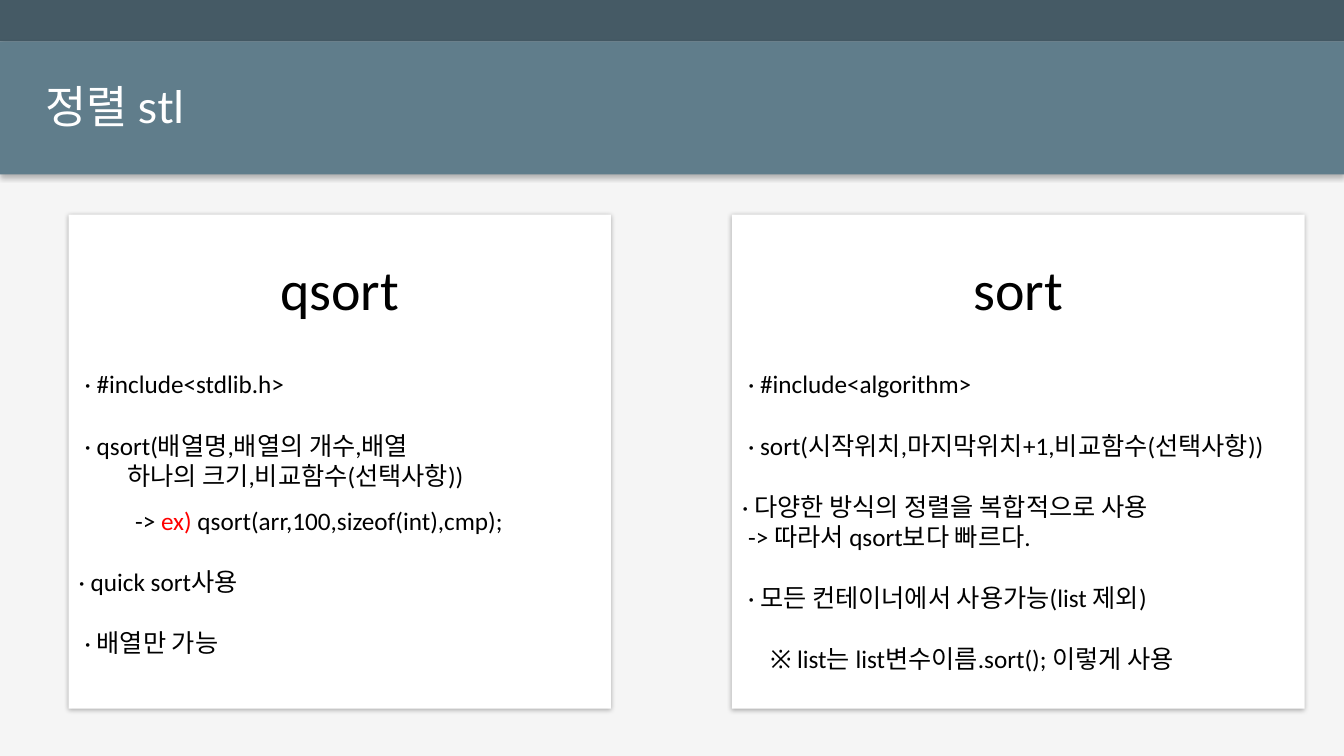
from lxml import etree
from pptx import Presentation
from pptx.dml.color import RGBColor
from pptx.enum.shapes import MSO_SHAPE
from pptx.enum.text import MSO_ANCHOR, MSO_AUTO_SIZE, PP_ALIGN
from pptx.oxml.ns import qn
from pptx.util import Inches, Pt

RECTANGLE = MSO_SHAPE.RECTANGLE
TOP, MIDDLE = MSO_ANCHOR.TOP, MSO_ANCHOR.MIDDLE
LEFT, CENTER = PP_ALIGN.LEFT, PP_ALIGN.CENTER
NO_AUTOFIT = MSO_AUTO_SIZE.NONE

BACKGROUND = RGBColor(0xF5, 0xF5, 0xF5)
DARK_SLATE = RGBColor(0x45, 0x5A, 0x65)
SLATE = RGBColor(0x60, 0x7D, 0x8B)
WHITE = RGBColor(0xFF, 0xFF, 0xFF)
BLACK = RGBColor(0, 0, 0)
RED = RGBColor(0xFF, 0, 0)

SLIDE_WIDTH, SLIDE_HEIGHT = 13.33, 7.5
TITLE = "정렬 stl"
BANDS = [(0, 0.41, DARK_SLATE), (0.41, 1.32, SLATE)]
CARD_TOP, CARD_HEIGHT = 2.13, 4.9
HEADING_INSET = 0.39
HEADING_GAP, ITEM_GAP = 34, 22

# Each line: first-line indent (inches), space before (points), line spacing, runs
CARDS = [
    (0.68, 5.38, "qsort", [
        (0.06, HEADING_GAP, 1, [("· #include<stdlib.h>", BLACK)]),
        (0.06, ITEM_GAP, 1, [("· qsort(배열명,배열의 개수,배열", BLACK)]),
        (0.48, 0, 1, [("하나의 크기,비교함수(선택사항))", BLACK)]),
        (0.56, 0, 1.5, [("-> ", BLACK), ("ex) ", RED),
                        ("qsort(arr,100,sizeof(int),cmp);", BLACK)]),
        (0, ITEM_GAP, 1, [("· quick sort사용", BLACK)]),
        (0.06, ITEM_GAP, 1, [("· 배열만 가능", BLACK)]),
    ]),
    (7.26, 5.68, "sort", [
        (0.06, HEADING_GAP, 1, [("· #include<algorithm>", BLACK)]),
        (0.06, ITEM_GAP, 1,
         [("· sort(시작위치,마지막위치+1,비교함수(선택사항))", BLACK)]),
        (0, ITEM_GAP, 1, [("· 다양한 방식의 정렬을 복합적으로 사용", BLACK)]),
        (0.06, 0, 1, [("-> 따라서 qsort보다 빠르다.", BLACK)]),
        (0.06, ITEM_GAP, 1, [("· 모든 컨테이너에서 사용가능(list 제외)", BLACK)]),
        (0.28, ITEM_GAP, 1,
         [("※ list는 list변수이름.sort(); 이렇게 사용", BLACK)]),
    ]),
]


def place(shape, left, top, width, height):
    """Move and size a shape, in inches."""
    shape.left, shape.top = Inches(left), Inches(top)
    shape.width, shape.height = Inches(width), Inches(height)


def paint(shape, color, blur, distance):
    """Give a shape a plain fill and a soft shadow below it."""
    shape.fill.solid()
    shape.fill.fore_color.rgb = color
    shape.line.fill.background()
    shape.shadow.inherit = False
    effects = shape.element.spPr.find(qn("a:effectLst"))
    shadow = etree.SubElement(effects, qn("a:outerShdw"), blurRad=str(Pt(blur)),
                              dist=str(Pt(distance)), dir="5400000", rotWithShape="0")
    shade = etree.SubElement(shadow, qn("a:srgbClr"), val="000000")
    etree.SubElement(shade, qn("a:alpha"), val="30000")


def add_run(paragraph, text, size, font, color):
    """Append one formatted run."""
    run = paragraph.add_run()
    run.text = text
    run.font.size = Pt(size)
    run.font.name = font
    run.font.color.rgb = color


def format_line(paragraph, alignment, indent, before, spacing):
    """Set the layout of a paragraph without a bullet."""
    paragraph.alignment = alignment
    paragraph.space_before, paragraph.space_after = Pt(before), Pt(0)
    paragraph.line_spacing = spacing
    properties = paragraph._p.get_or_add_pPr()
    properties.set("marL", "0")
    properties.set("indent", str(Inches(indent)))
    etree.SubElement(properties, qn("a:buNone"))


def prepare_frame(shape, anchor, top_inset, side_inset):
    """Set wrapping, anchor and insets, and return the text frame."""
    frame = shape.text_frame
    frame.word_wrap = True
    frame.auto_size = NO_AUTOFIT
    frame.vertical_anchor = anchor
    frame.margin_left = frame.margin_right = Inches(side_inset)
    frame.margin_top, frame.margin_bottom = Inches(top_inset), Inches(0)
    return frame


def fill_card(card, heading, lines):
    """Write the heading and the lines of one card."""
    frame = prepare_frame(card, TOP, HEADING_INSET, 0.1)
    paragraph = frame.paragraphs[0]
    format_line(paragraph, CENTER, 0, 0, 1)
    add_run(paragraph, heading, 40, "Calibri", BLACK)
    for indent, before, spacing, runs in lines:
        paragraph = frame.add_paragraph()
        format_line(paragraph, LEFT, indent, before, spacing)
        for text, color in runs:
            add_run(paragraph, text, 18, "Calibri", color)


def main():
    """Build the slide that compares qsort and sort."""
    presentation = Presentation()
    presentation.slide_width = Inches(SLIDE_WIDTH)
    presentation.slide_height = Inches(SLIDE_HEIGHT)
    slide = presentation.slides.add_slide(presentation.slide_layouts[3])
    slide.background.fill.solid()
    slide.background.fill.fore_color.rgb = BACKGROUND

    title = slide.shapes.title
    for top, height, color in BANDS:
        band = slide.shapes.add_shape(RECTANGLE, 0, Inches(top),
                                      Inches(SLIDE_WIDTH), Inches(height))
        paint(band, color, 4, 2)
        title.element.addprevious(band.element)

    place(title, 0.35, 0.73, 12.4, 0.64)
    paragraph = prepare_frame(title, MIDDLE, 0, 0.1).paragraphs[0]
    paragraph.alignment = LEFT
    add_run(paragraph, TITLE, 32, "Lato", WHITE)

    for index, (left, width, heading, lines) in enumerate(CARDS, start=1):
        card = slide.placeholders[index]
        place(card, left, CARD_TOP, width, CARD_HEIGHT)
        paint(card, WHITE, 3, 1)
        fill_card(card, heading, lines)

    presentation.save("out.pptx")


if __name__ == "__main__":
    main()
